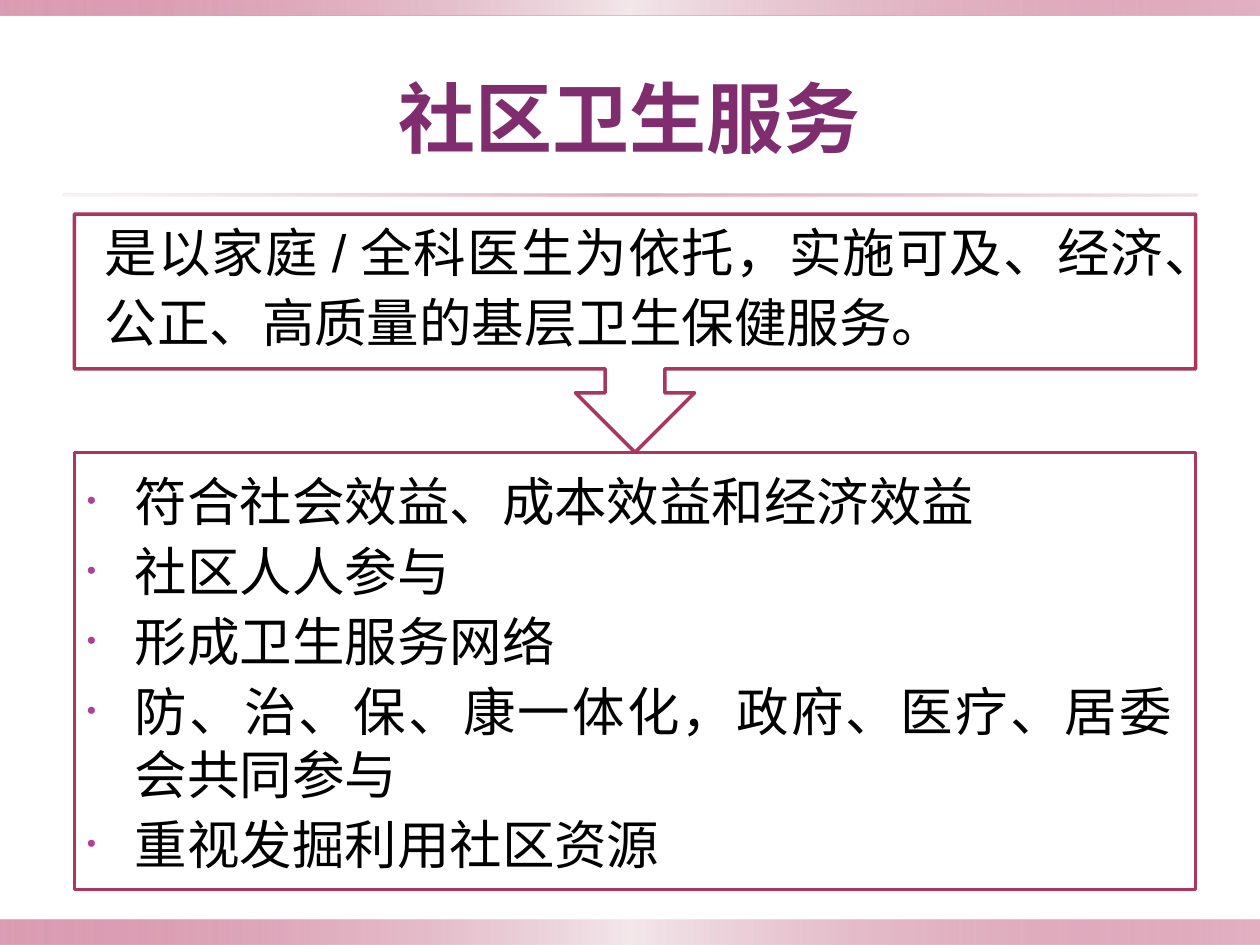
from lxml import etree
from pptx import Presentation
from pptx.dml.color import RGBColor
from pptx.enum.shapes import MSO_SHAPE
from pptx.enum.text import MSO_ANCHOR, PP_ALIGN
from pptx.oxml import parse_xml
from pptx.oxml.ns import nsdecls, qn
from pptx.util import Inches, Pt


def color(value):
    return RGBColor.from_string(value)


def add_panel(kind, left, top, width, height, line=None):
    """Add a white outlined shape, or a bare one when no line colour is given."""
    panel = page.shapes.add_shape(
        kind, Inches(left), Inches(top), Inches(width), Inches(height))
    panel.shadow.inherit = False
    if line:
        panel.fill.solid()
        panel.fill.fore_color.rgb = color("FFFFFF")
        panel.line.color.rgb = color(line)
        panel.line.width = Pt(2)
    else:
        panel.fill.background()
        panel.line.fill.background()
    return panel


deck = Presentation()
deck.slide_width, deck.slide_height = Inches(10), Inches(7.5)
page = deck.slides.add_slide(deck.slide_layouts[5])

# Gradient bands: place, then position, colour and opacity of each stop
edge_stops = [(0, "B83D68", 50), (50, "F3E8EB", 100), (100, "B83D68", 40)]
rule_stops = [(0, "E6CED4", 20), (50, "B83D68", 40), (100, "E6CED4", 50)]
bands = [
    (0, 7.3, 10, 0.2, edge_stops),
    (0, 0, 10, 0.12, edge_stops),
    (0.5, 1.54, 9, 0.02, rule_stops),
]
for left, top, width, height, stops in bands:
    band = add_panel(MSO_SHAPE.RECTANGLE, left, top, width, height)
    band.fill.gradient()
    band.fill.gradient_angle = 0
    stop_list = next(band.element.iter(qn("a:gsLst")))
    for stop in list(stop_list):
        stop_list.remove(stop)
    for position, shade, opacity in stops:
        stop_list.append(parse_xml(
            f'<a:gs {nsdecls("a")} pos="{position * 1000}"><a:srgbClr val="{shade}">'
            f'<a:alpha val="{opacity * 1000}"/></a:srgbClr></a:gs>'))

# Title
title = page.shapes.title
title.left, title.top = Inches(0.5), Inches(0.3)
title.width, title.height = Inches(9), Inches(1.25)
title.text_frame.text = "社区卫生服务"
title.text_frame.vertical_anchor = MSO_ANCHOR.MIDDLE
heading = title.text_frame.paragraphs[0]
heading.alignment = PP_ALIGN.CENTER
heading_font = heading.runs[0].font
heading_font.name, heading_font.size, heading_font.bold = "Calibri", Pt(44), True
heading_font.color.rgb = color("7F2D6F")

# Principles and definition, each a frame with its text on top
add_panel(MSO_SHAPE.FLOWCHART_PROCESS, 0.59, 3.59, 8.9, 3.47, "AC3660")
principles = add_panel(MSO_SHAPE.FLOWCHART_PROCESS, 0.59, 3.67, 8.82, 3.39)
principles.text_frame.text = "\n".join([
    "符合社会效益、成本效益和经济效益",
    "社区人人参与",
    "形成卫生服务网络",
    "防、治、保、康一体化，政府、医疗、居委会共同参与",
    "重视发掘利用社区资源",
])
principles.text_frame.vertical_anchor = MSO_ANCHOR.TOP

add_panel(MSO_SHAPE.DOWN_ARROW_CALLOUT, 0.59, 1.7, 8.9, 1.89, "A7375E")
definition = add_panel(MSO_SHAPE.DOWN_ARROW_CALLOUT, 0.7, 1.85, 8.68, 1.66)
frame = definition.text_frame
frame.text = "是以家庭/全科医生为依托，实施可及、经济、公正、高质量的基层卫生保健服务。"
frame.vertical_anchor = MSO_ANCHOR.BOTTOM
frame.margin_left = frame.margin_right = Inches(0.13)
frame.margin_top = frame.margin_bottom = Inches(0.13)
frame.paragraphs[0].line_spacing = 1.1

for box in (principles, definition):
    box.text_frame.word_wrap = True
    for para in box.text_frame.paragraphs:
        para.alignment = PP_ALIGN.JUSTIFY
        span = para.runs[0]
        span.font.name, span.font.size = "Arial", Pt(30)
        span.font.color.rgb = color("000000")

for para in principles.text_frame.paragraphs:
    para.space_before = Pt(4)
    settings = para._p.get_or_add_pPr()
    settings.set("marL", str(Inches(0.38)))
    settings.set("indent", str(-Inches(0.38)))
    bullet_color = etree.SubElement(settings, qn("a:buClr"))
    etree.SubElement(bullet_color, qn("a:srgbClr"), val="B13F9A")
    etree.SubElement(settings, qn("a:buSzPct"), val="50000")
    etree.SubElement(settings, qn("a:buFont"), typeface="Arial")
    etree.SubElement(settings, qn("a:buChar"), char="•")

deck.save("out.pptx")
